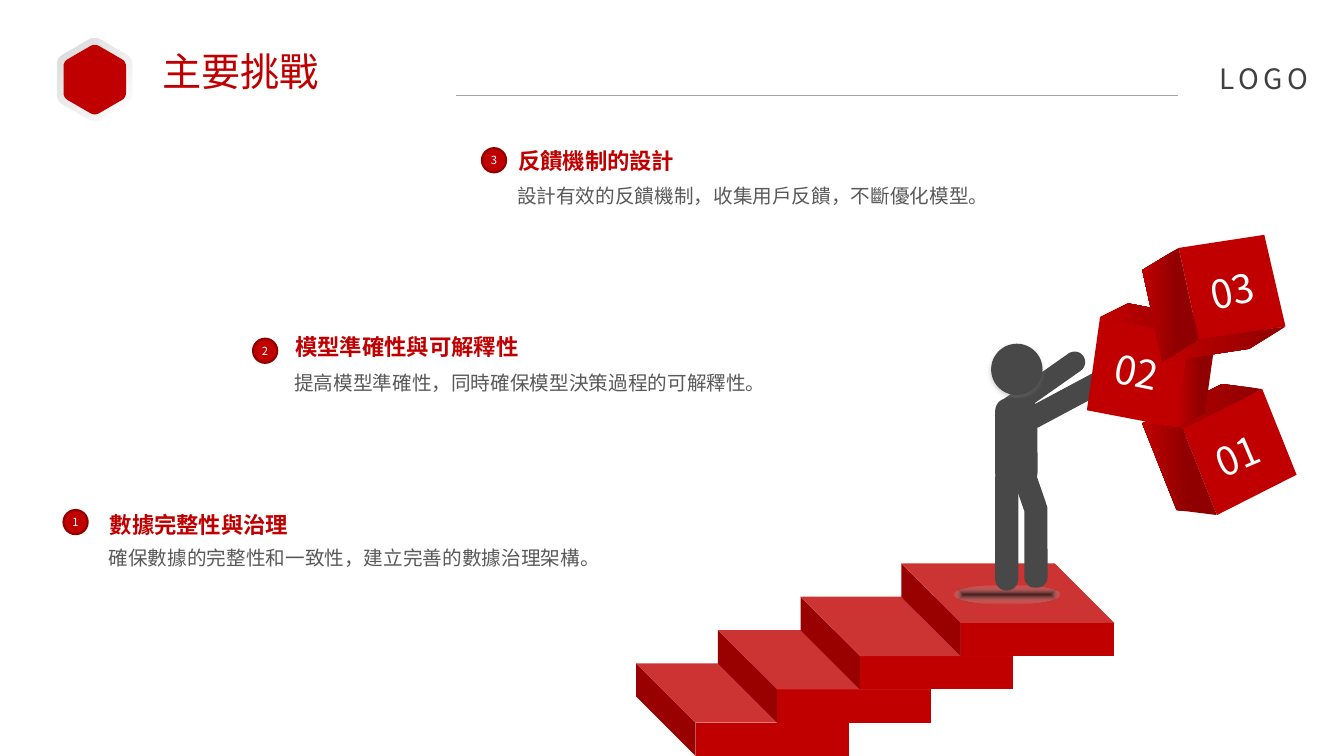
"""Build the slide of three main challenges, with stairs, a figure and cubes."""
import math
from dataclasses import dataclass
from typing import Any

import pptx
import pptx.dml.color
import pptx.enum.dml
import pptx.enum.shapes
import pptx.enum.text
import pptx.oxml
import pptx.oxml.ns
import pptx.util

Inches = pptx.util.Inches
Kind = pptx.enum.shapes.MSO_SHAPE
Align = pptx.enum.text.PP_ALIGN
Point = tuple[float, float]
FACE = "Noto Sans CJK SC"
SPACE = 'xmlns:a="http://schemas.openxmlformats.org/drawingml/2006/main"'
HUES = {
    "red": "C00000", "dark": "900000", "white": "FFFFFF", "pale": "D9D9D9",
    "rule": "A6A6A6", "logo": "404040", "body": "595959", "man": "484848",
    "shade": "171717",
}
FORMS = {
    "logo": {"size": 20, "hue": "logo"},
    "title": {"size": 28, "hue": "red"},
    "cube": {"size": 28, "hue": "white"},
    "head": {"size": 16, "hue": "red", "bold": True},
    "body": {"size": 14, "hue": "body"},
    "badge": {"size": 8, "hue": "white"},
}


@dataclass
class Box:
    left: float
    top: float
    width: float
    height: float
    turn: float = 0


@dataclass
class Limb:
    kind: Any
    box: Box
    bend: float | None = None


@dataclass
class Cube:
    label: str
    front: list[Point]
    depth: Point
    side: tuple[int, int]
    cap: tuple[int, int]
    box: Box


@dataclass
class Note:
    mark: str
    badge: Point
    left: float
    top: float
    gap: float
    width: float
    head: str
    body: str


LIMBS = [
    Limb(Kind.ROUNDED_RECTANGLE, Box(10.23, 3.32, 0.21, 1, 54.9), 0.5),
    Limb(Kind.OVAL, Box(9.83, 3.41, 0.51, 0.51)),
    Limb(Kind.ROUNDED_RECTANGLE, Box(9.87, 3.95, 0.42, 0.87), 0.3),
    Limb(Kind.ROUNDED_RECTANGLE, Box(9.87, 4.63, 0.23, 1.23), 0.5),
    Limb(Kind.ROUNDED_RECTANGLE, Box(10.1, 4.64, 0.23, 0.48, 340.9), 0.4),
    Limb(Kind.ROUNDED_RECTANGLE, Box(10.45, 3.51, 0.22, 0.93, 241.9), 0.5),
    Limb(Kind.ROUNDED_RECTANGLE, Box(10.16, 4.95, 0.23, 0.88), 0.43),
]
CUBES = [
    Cube("01", [(11.73, 4.25), (12.52, 3.86), (12.86, 4.71), (12.07, 5.11)],
         (-0.4, -0.05), (0, 3), (0, 1), Box(11.96, 4.22, 0.69, 0.57, 336.9)),
    Cube("02", [(10.91, 3.15), (11.8, 3.32), (11.67, 4.24), (10.78, 4.07)],
         (0.28, -0.14), (1, 2), (0, 1), Box(10.96, 3.41, 0.69, 0.57, 11.7)),
    Cube("03", [(11.69, 2.46), (12.54, 2.33), (12.75, 3.24), (11.89, 3.37)],
         (-0.36, 0.22), (0, 3), (3, 2), Box(11.91, 2.59, 0.69, 0.57, 347.3)),
]
NOTES = [
    Note("1", (0.63, 5.06), 0.99, 5.02, 0.23, 5.73, "數據完整性與治理",
         "確保數據的完整性和一致性，建立完善的數據治理架構。"),
    Note("2", (2.51, 3.36), 2.83, 3.26, 0.25, 5.67, "模型準確性與可解釋性",
         "提高模型準確性，同時確保模型決策過程的可解釋性。"),
    Note("3", (4.78, 1.47), 5.04, 1.41, 0.25, 5.76, "反饋機制的設計",
         "設計有效的反饋機制，收集用戶反饋，不斷優化模型。"),
]


def tint(name: str) -> Any:
    return pptx.dml.color.RGBColor.from_string(HUES[name])


def paint(shape: Any, hue: str) -> None:
    shape.shadow.inherit = False
    shape.fill.solid()
    shape.fill.fore_color.rgb = tint(hue)
    shape.line.fill.background()


def fade(shape: Any, first: str, last: str, start: float, angle: float) -> None:
    shape.fill.gradient()
    shape.fill.gradient_angle = angle
    for stop, hue, place in zip(shape.fill.gradient_stops, (first, last), (start, 1)):
        stop.color.rgb = tint(hue)
        stop.position = place


def place(slide: Any, kind: Any, box: Box, hue: str, bend: float | None = None) -> Any:
    sides = map(Inches, (box.left, box.top, box.width, box.height))
    shape = slide.shapes.add_shape(kind, *sides)
    shape.rotation = box.turn
    if bend is not None:
        shape.adjustments[0] = bend
    paint(shape, hue)
    return shape


def trace(slide: Any, points: list[Point], hue: str) -> Any:
    spots = [(Inches(x), Inches(y)) for x, y in points]
    pen = slide.shapes.build_freeform(*spots[0])
    pen.add_line_segments(spots[1:], close=True)
    shape = pen.convert_to_shape()
    paint(shape, hue)
    return shape


def write(frame: Any, text: str, form: str) -> Any:
    part = frame.paragraphs[0]
    run = part.add_run()
    run.text = text
    looks = dict(FORMS[form])
    run.font.color.rgb = tint(looks.pop("hue"))
    looks["size"] = pptx.util.Pt(looks["size"])
    for key, value in {"name": FACE, **looks}.items():
        setattr(run.font, key, value)
    east = pptx.oxml.parse_xml(f'<a:ea {SPACE} typeface="{FACE}"/>')
    run.font._element.append(east)
    return part


def inset(frame: Any) -> None:
    for side in ("left", "top", "right", "bottom"):
        setattr(frame, f"margin_{side}", 0)


def label(slide: Any, box: Box, text: str, form: str, flush: bool = False) -> Any:
    sides = map(Inches, (box.left, box.top, box.width, box.height))
    shape = slide.shapes.add_textbox(*sides)
    shape.rotation = box.turn
    shape.text_frame.word_wrap = True
    if flush:
        inset(shape.text_frame)
    return write(shape.text_frame, text, form)


def hexa(mid: Point, half: float) -> list[Point]:
    reach = half / math.cos(math.pi / 6)
    tips = [(mid[0] + reach * math.sin(k * math.pi / 3),
             mid[1] - reach * math.cos(k * math.pi / 3)) for k in range(6)]
    points = []
    for k, tip in enumerate(tips):
        for t in (0, 0.25, 0.5, 0.75, 1):
            back, on = 0.14 * (1 - t) ** 2, 0.14 * t ** 2
            points.append(tuple(
                c + back * (a - c) + on * (b - c)
                for a, c, b in zip(tips[k - 1], tip, tips[(k + 1) % 6])))
    return points


def header(slide: Any) -> None:
    mid = (0.94, 0.79)
    fade(trace(slide, hexa(mid, 0.37), "pale"), "white", "pale", 0, 135)
    trace(slide, hexa(mid, 0.31), "red")
    rule = slide.shapes.add_connector(
        pptx.enum.shapes.MSO_CONNECTOR.STRAIGHT,
        *map(Inches, (4.52, 0.95, 11.68, 0.95)))
    rule.line.color.rgb = tint("rule")
    rule.line.width = pptx.util.Pt(1)
    rule._element.spPr.append(pptx.oxml.parse_xml(f"<a:effectLst {SPACE}/>"))
    logo = label(slide, Box(12.1, 0.61, 1.02, 0.34), "LOGO", "logo", True)
    logo.runs[0].font._element.set("spc", "300")
    label(slide, Box(1.61, 0.47, 8.69, 0.47), "主要挑戰", "title", True)


def stairs(slide: Any) -> None:
    for k, left in enumerate((6.31, 7.12, 7.94, 8.94)):
        step = place(slide, Kind.CUBE, Box(left, 6.58 - 0.33 * k, 2.11, 0.92), "red", 0.64)
        step._element.spPr.xfrm.set("flipH", "1")


def figure(slide: Any) -> None:
    pool = place(slide, Kind.OVAL, Box(9.46, 5.8, 1.06, 0.2), "shade")
    fade(pool, "shade", "white", 0, 0)
    grad = pool._element.spPr.find(pptx.oxml.ns.qn("a:gradFill"))
    for tone, alpha in zip(grad.iter(pptx.oxml.ns.qn("a:srgbClr")), (76000, 0)):
        tone.append(pptx.oxml.parse_xml(f'<a:alpha {SPACE} val="{alpha}"/>'))
    grad.replace(grad.find(pptx.oxml.ns.qn("a:lin")), pptx.oxml.parse_xml(
        f'<a:path {SPACE} path="shape"><a:fillToRect l="50000" t="50000" '
        'r="50000" b="50000"/></a:path>'))
    for limb in LIMBS:
        shape = place(slide, limb.kind, limb.box, "man", limb.bend)
        if limb.kind == Kind.OVAL:
            glow = shape._element.spPr.find(pptx.oxml.ns.qn("a:effectLst"))
            glow.append(pptx.oxml.parse_xml(
                f'<a:outerShdw {SPACE} blurRad="39370" dist="22860" dir="5400000">'
                '<a:srgbClr val="808080"><a:alpha val="35000"/></a:srgbClr></a:outerShdw>'))


def stack(slide: Any) -> None:
    for cube in CUBES:
        trace(slide, cube.front, "red")
        for edge, start in ((cube.cap, 0), (cube.side, 0.39)):
            near = [cube.front[k] for k in edge]
            far = [(x + cube.depth[0], y + cube.depth[1]) for x, y in near[::-1]]
            fade(trace(slide, near + far, "dark"), "dark", "red", start, 180)
        label(slide, cube.box, cube.label, "cube")


def points(slide: Any) -> None:
    for note in NOTES:
        label(slide, Box(note.left, note.top, note.width, 0.37), note.head, "head")
        low = Box(note.left - 0.01, note.top + note.gap, note.width, 1.12)
        label(slide, low, note.body, "body").line_spacing = 1.5
        badge = place(slide, Kind.OVAL, Box(*note.badge, 0.24, 0.24), "red")
        badge.line.color.rgb = tint("dark")
        badge.line.width = pptx.util.Pt(1.5)
        inset(badge.text_frame)
        badge.text_frame.vertical_anchor = pptx.enum.text.MSO_ANCHOR.MIDDLE
        write(badge.text_frame, note.mark, "badge").alignment = Align.CENTER


def main() -> None:
    deck = pptx.Presentation()
    deck.slide_width, deck.slide_height = Inches(13.33), Inches(7.5)
    slide = deck.slides.add_slide(deck.slide_layouts[6])
    for draw in (header, stairs, figure, stack, points):
        draw(slide)
    deck.save("out.pptx")


if __name__ == "__main__":
    main()
